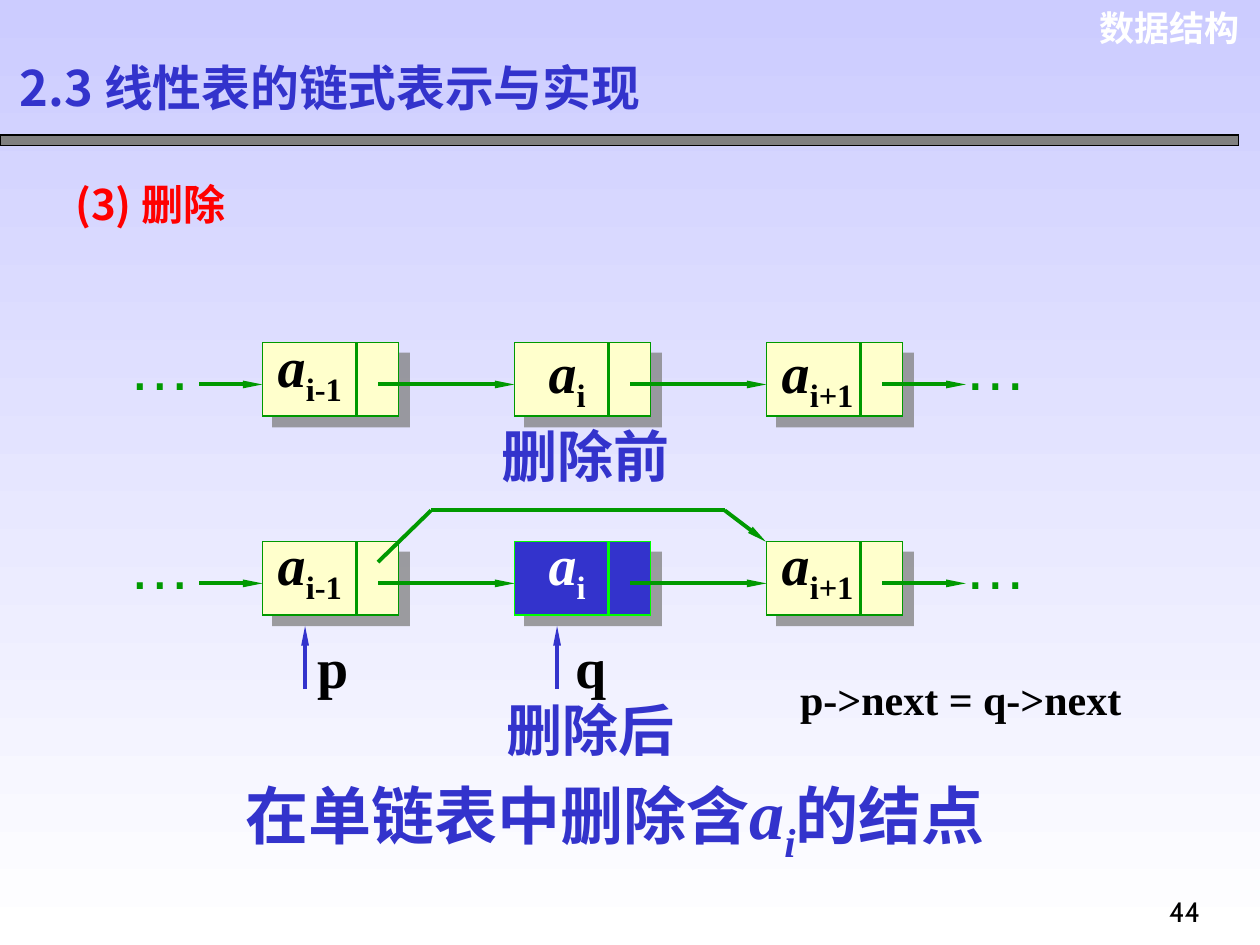
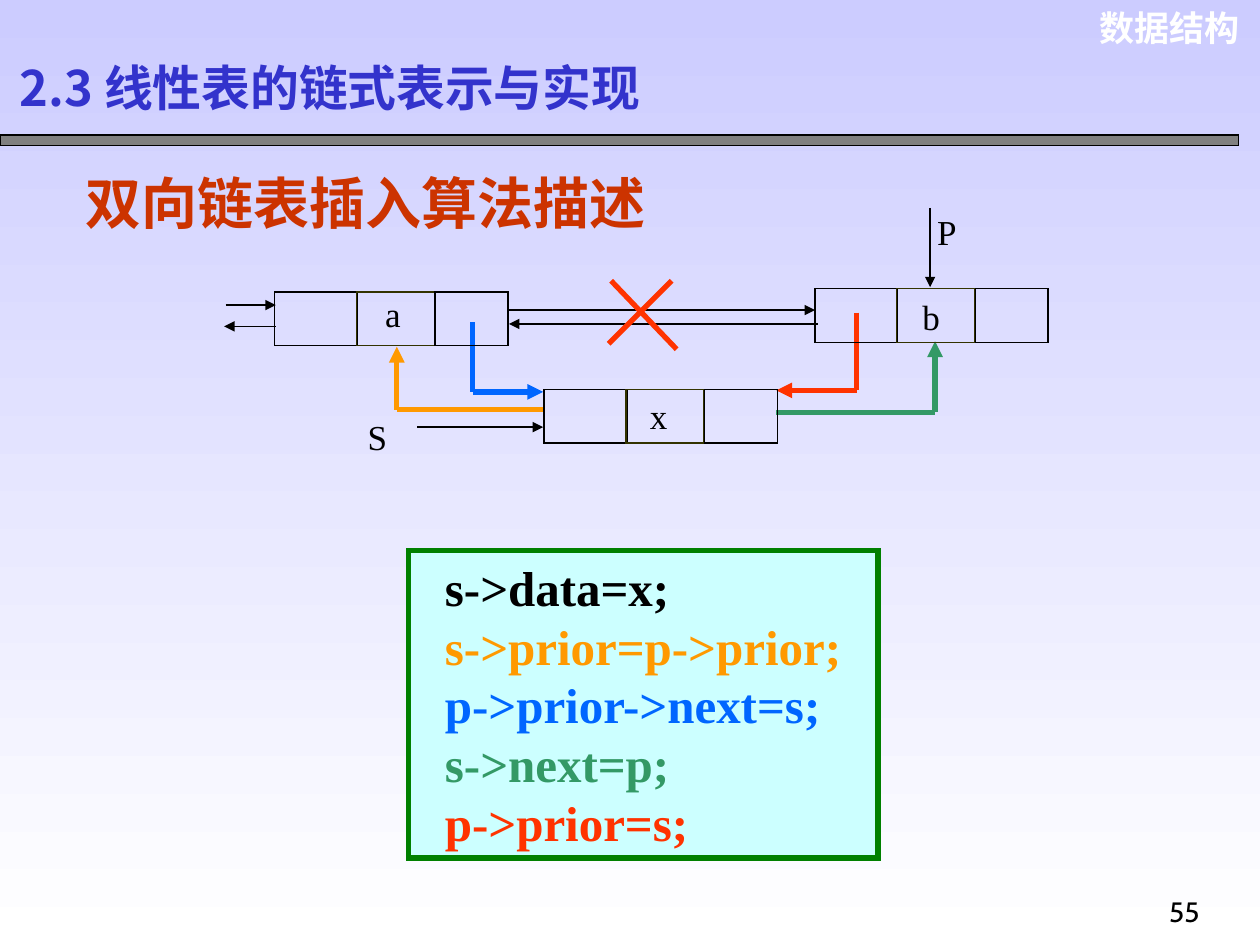
from dataclasses import dataclass

from lxml import etree
from pptx import Presentation, util as u
from pptx.dml.color import RGBColor
from pptx.enum import shapes, text
from pptx.oxml.ns import qn


@dataclass(frozen=True)
class Theme:
    top: str = "CCCCFF"
    white: str = "FFFFFF"
    black: str = "000000"
    gray: str = "808080"
    blue: str = "3333CC"
    red: str = "FF0000"
    rust: str = "CC3300"
    green: str = "009900"
    lime: str = "00FF00"
    cream: str = "FFFFCC"
    olive: str = "333300"
    orange: str = "FF9900"
    sky: str = "0066FF"
    teal: str = "339966"
    flame: str = "FF3300"
    aqua: str = "CCFFFF"
    frame: str = "008000"
    serif: str = "Times New Roman"
    sans: str = "Arial"
    han: str = "Noto Sans CJK SC"
    digit: str = "Cabin"
    tiny: float = 16
    small: float = 20
    mid: float = 24
    head: float = 27.9
    code: float = 28
    big: float = 32
    large: float = 36
    huge: float = 40
    hair: float = 0.75
    thin: float = 1.5
    bold: float = 2.25
    thick: float = 3


T = Theme()

COURSE = "数据结构"
TITLE = "2.3 线性表的链式表示与实现"

NODES = [("i-1", 0.06, 1.85), ("i", 0.44, 1.4), ("i+1", 0.06, 2)]
ROWS = [
    {"y": 6.91, "rise": (0.36, 0.23, 0.23), "gone": None},
    {"y": 10.92, "rise": (0.36, 0.36, 0.36), "gone": 1},
]
NOTES = [
    ("p", (6.15, 12.62, 1.14, 1.63), T.big, T.black),
    ("q", (11.35, 12.62, 1.14, 1.63), T.big, T.black),
    ("删除前", (9.86, 8.38, 3.89, 1.63), T.big, T.blue),
    ("删除后", (9.96, 13.89, 3.89, 1.63), T.big, T.blue),
    ("p->next = q->next", (15.88, 13.46, 6.99, 1.27), T.mid, T.black),
]
SKIP = [(7.62, 11.33), (8.69, 10.29), (14.61, 10.29), (15.44, 10.92)]

CELLS = [(0, 1.67, T.black), (1.65, 1.57, T.olive), (3.23, 1.47, T.black)]
TRIOS = [(10.97, 7.85), (5.54, 5.89), (16.43, 5.82)]
NAMES = [
    ("x", 12.85, 7.82), ("S", 7.16, 8.23), ("a", 7.49, 5.77),
    ("b", 18.34, 5.82), ("P", 18.64, 4.11),
]
LINKS = [
    (T.sky, [(9.53, 6.5), (9.53, 7.9), (10.95, 7.9)]),
    (T.orange, [(10.95, 8.26), (8, 8.26), (8, 6.99)]),
    (T.teal, [(15.65, 8.31), (18.85, 8.31), (18.85, 6.88)]),
    (T.flame, [(17.27, 6.3), (17.27, 7.87), (15.65, 7.87)]),
]
WIRES = [
    [(8.41, 8.61), (10.95, 8.61)],
    [(4.55, 6.15), (5.56, 6.15)],
    [(5.56, 6.58), (4.52, 6.58)],
    [(10.26, 6.25), (16.43, 6.25)],
    [(16.48, 6.53), (10.26, 6.53)],
    [(18.75, 4.19), (18.75, 5.79)],
]
CROSS = [
    [(13.54, 5.66), (12.27, 6.93)],
    [(12.32, 5.66), (13.64, 7.04)],
]
CODE = [
    ("s->data=x;", T.black),
    ("s->prior=p->prior;", T.orange),
    ("p->prior->next=s;", T.sky),
    ("s->next=p;", T.teal),
    ("p->prior=s;", T.flame),
]

SLIM = ("sm", "lg")
EVEN = ("med", "med")
MID = {"vertical_anchor": text.MSO_ANCHOR.MIDDLE}
FREE = {"word_wrap": False, "auto_size": text.MSO_AUTO_SIZE.SHAPE_TO_FIT_TEXT}
WRAP = {"word_wrap": True, "auto_size": text.MSO_AUTO_SIZE.NONE}


def rgb(tint):
    return RGBColor.from_string(tint)


def put(item, vals):
    for key, val in vals.items():
        setattr(item, key, val)


def cms(*vals):
    return [u.Cm(val) for val in vals]


def run(word, size, tint, font=T.serif, sub=False, **face):
    return {"word": word, "size": u.Pt(size), "tint": tint,
            "name": font, "sub": sub, "face": face}


def fill(frame, paras, form, para):
    put(frame, {**FREE, **form})
    for num, runs in enumerate(paras):
        line = frame.add_paragraph() if num else frame.paragraphs[0]
        put(line, para)
        for part in runs:
            bit = line.add_run()
            bit.text = part["word"]
            put(bit.font, {"size": part["size"], "name": part["name"], **part["face"]})
            bit.font.color.rgb = rgb(part["tint"])
            prop = bit.font._rPr
            etree.SubElement(prop, qn("a:ea"), typeface=T.han)
            if part["sub"]:
                prop.set("baseline", "-25000")


def write(page, box, runs, form={}, para={}):
    fill(page.shapes.add_textbox(*cms(*box)).text_frame, [runs], form, para)


def rect(page, box, tint, edge, width=T.hair, shade=False):
    item = page.shapes.add_shape(shapes.MSO_SHAPE.RECTANGLE, *cms(*box))
    item.shadow.inherit = False
    if tint:
        item.fill.solid()
        item.fill.fore_color.rgb = rgb(tint)
    else:
        item.fill.background()
    item.line.color.rgb = rgb(edge)
    item.line.width = u.Pt(width)
    etree.SubElement(item.line._ln, qn("a:miter"), lim="800000")
    if shade:
        fx = item._element.spPr.find(qn("a:effectLst"))
        cast = etree.SubElement(fx, qn("a:outerShdw"), dist=str(u.Pt(8.5)),
                                dir="2700000", algn="ctr", rotWithShape="0")
        tone = etree.SubElement(cast, qn("a:srgbClr"), val=T.gray)
        etree.SubElement(tone, qn("a:alpha"), val="75000")
    return item


def route(page, dots, tint, width, tip=None):
    pairs = list(zip(dots, dots[1:]))
    for num, (start, end) in enumerate(pairs, 1):
        line = page.shapes.add_connector(
            shapes.MSO_CONNECTOR.STRAIGHT, *cms(*start, *end))
        line.line.color.rgb = rgb(tint)
        line.line.width = u.Pt(width)
        if tip and num == len(pairs):
            etree.SubElement(line.line._ln, qn("a:tailEnd"), type="triangle",
                             w=tip[0], len=tip[1])
        etree.SubElement(line._element.spPr, qn("a:effectLst"))


def start(deck, num):
    page = deck.slides.add_slide(deck.slide_layouts[6])
    write(page, (21.77, 0, 3.48, 1.12), [run(COURSE, T.small, T.white, T.sans, bold=True)],
          WRAP, {"alignment": text.PP_ALIGN.RIGHT})
    rect(page, (0, 2.72, 24.97, 0.22), T.gray, T.black)
    write(page, (0.15, 1.12, 21.59, 1.47), [run(TITLE, T.head, T.blue, T.han, bold=True)],
          {**MID, **WRAP}, {"line_spacing": 0.8})
    write(page, (23.32, 17.91, 3.2, 1.07), [run(num, T.tiny, T.black, T.digit)], WRAP)
    return page


def chain(page, row):
    left, step, wide, high = 5.29, 5.08, 2.75, 1.48
    top, mid = row["y"], row["y"] + 0.84
    route(page, [(4.02, mid), (left, mid)], T.green, T.bold, SLIM)
    for num, (sub, dx, room) in enumerate(NODES):
        x = left + num * step
        gone = num == row["gone"]
        edge = T.lime if gone else T.green
        stop = 19.47 if num == len(NODES) - 1 else x + step
        rect(page, (x, top, wide, high), T.blue if gone else T.cream, edge, shade=True)
        route(page, [(x + 1.9, top), (x + 1.9, top + high)], edge, T.thin)
        route(page, [(x + 2.33, mid), (stop, mid)], T.green, T.bold, SLIM)
        ink = T.white if gone else T.black
        write(page, (x + dx, top - row["rise"][num], room, 1.8),
              [run("a", T.big, ink, bold=True, italic=True),
               run(sub, T.big, ink, sub=True, bold=True)], WRAP)
    for x in (2.34, 19.18):
        write(page, (x, top - 0.43, 1.78, 1.78), [run("…", T.large, T.green, T.sans)])


def remove(deck):
    page = start(deck, "44")
    write(page, (1.27, 2.97, 22.66, 5.28), [run("(3) 删除", T.mid, T.red, T.han, bold=True)],
          WRAP, {"line_spacing": 1.5, "space_before": u.Pt(6)})
    pad = dict(zip(("margin_left", "margin_top", "margin_right", "margin_bottom"),
                   cms(0.3, 0.15, 0.3, 0.15)))
    write(page, (4.65, 15.37, 16.08, 3.76),
          [run("在单链表中删除含", T.large, T.blue, bold=True),
           run("a", T.huge, T.blue, bold=True, italic=True),
           run("i", T.huge, T.blue, sub=True, bold=True, italic=True),
           run("的结点", T.large, T.blue, bold=True)], {**WRAP, **pad})
    for row in ROWS:
        chain(page, row)
    for x in (6.15, 11.23):
        route(page, [(x, 13.89), (x, 12.62)], T.blue, T.bold, SLIM)
    route(page, SKIP, T.green, T.bold, SLIM)
    for word, box, size, tint in NOTES:
        write(page, box, [run(word, size, tint, bold=True)])


def insert(deck):
    page = start(deck, "55")
    write(page, (1.47, 3.33, 21.59, 1.47),
          [run("双向链表插入算法描述", T.big, T.rust, bold=True)], {**MID, **WRAP})
    card = rect(page, (8.23, 11.1, 9.47, 6.2), T.aqua, T.frame, T.thick)
    fill(card.text_frame, [[run(word, T.code, tint, bold=True)] for word, tint in CODE],
         {**MID, **WRAP, "margin_left": u.Cm(0.74)}, {"alignment": text.PP_ALIGN.LEFT})
    for tint, dots in LINKS:
        route(page, dots, tint, T.thick, EVEN)
    for x, y in TRIOS:
        for dx, wide, edge in CELLS:
            rect(page, (x + dx, y, wide, 1.08), None, edge)
    for word, x, y in NAMES:
        write(page, (x, y, 0.86, 1.12), [run(word, T.small, T.black)],
              MID, {"alignment": text.PP_ALIGN.CENTER})
    for dots in WIRES:
        route(page, dots, T.black, T.hair, EVEN)
    for dots in CROSS:
        route(page, dots, T.flame, T.thick)


def main():
    deck = Presentation()
    put(deck, {"slide_width": u.Cm(25.4), "slide_height": u.Cm(19.05)})
    back = deck.slide_master.background.fill
    back.gradient()
    back.gradient_angle = 270
    for stop, tint in zip(back.gradient_stops, (T.top, T.white)):
        stop.color.rgb = rgb(tint)
    remove(deck)
    insert(deck)
    deck.save("out.pptx")


if __name__ == "__main__":
    main()
